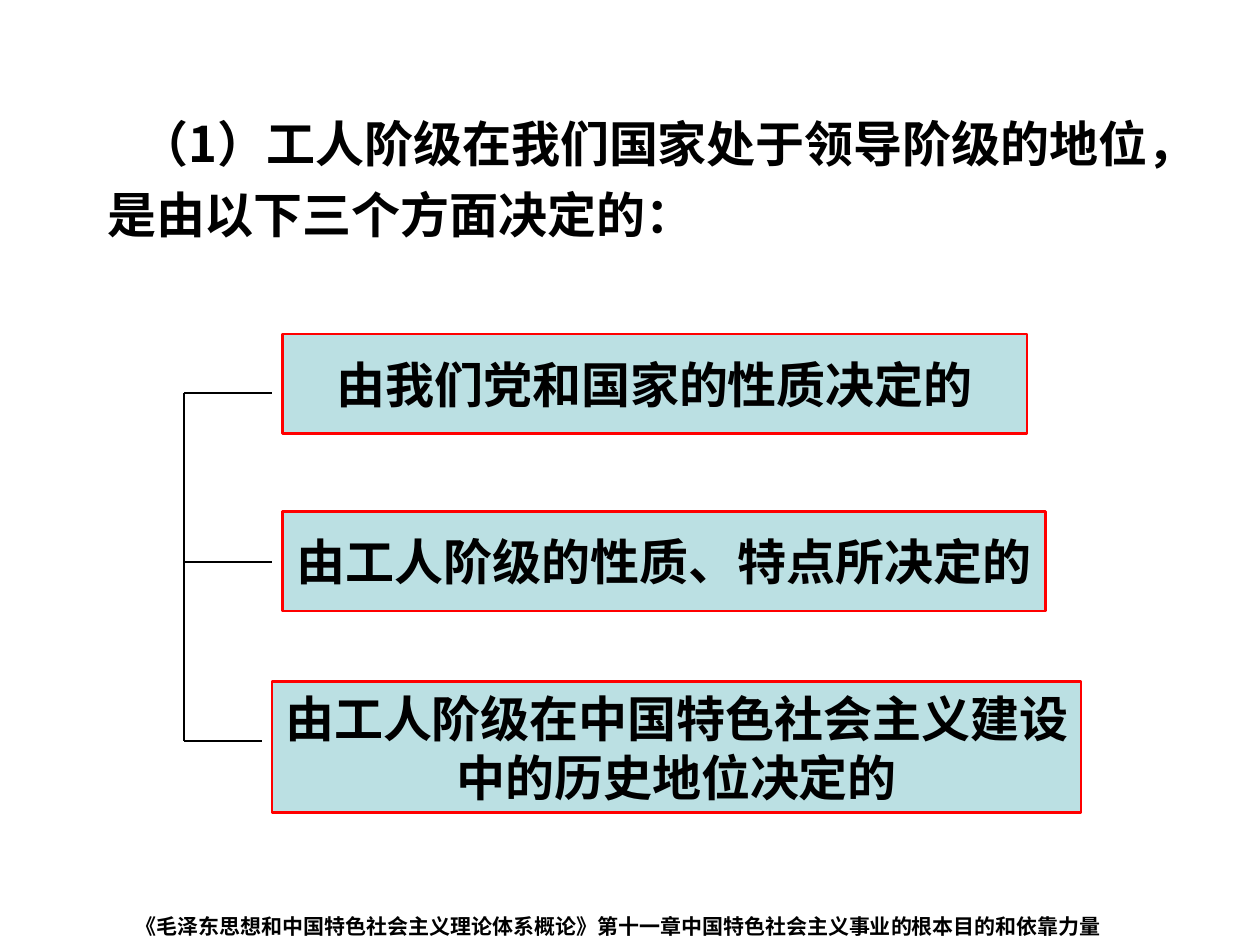
from lxml import etree
from pptx import Presentation
from pptx.dml.color import RGBColor
from pptx.enum.shapes import MSO_CONNECTOR, MSO_SHAPE
from pptx.enum.text import MSO_ANCHOR, MSO_AUTO_SIZE, PP_ALIGN
from pptx.oxml.ns import qn
from pptx.util import Inches, Pt

LINE = MSO_CONNECTOR.STRAIGHT
RECT = MSO_SHAPE.RECTANGLE
TOP, MIDDLE = MSO_ANCHOR.TOP, MSO_ANCHOR.MIDDLE
LEFT, CENTER = PP_ALIGN.LEFT, PP_ALIGN.CENTER
NONE = MSO_AUTO_SIZE.NONE


def tint(code):
    return RGBColor.from_string(code)


class Deck:
    face = "Noto Sans CJK SC"
    ink, fill, edge = "000000", "BBE0E3", "FF0000"

    def __init__(self, wide, high):
        self.prs = Presentation()
        self.prs.slide_width = Inches(wide)
        self.prs.slide_height = Inches(high)
        self.slide = self.prs.slides.add_slide(self.prs.slide_layouts[5])

    def label(self, shape, text, size, align, anchor, wrap=True, space=1.0):
        frame = shape.text_frame
        look = {
            "word_wrap": wrap, "auto_size": NONE, "vertical_anchor": anchor,
            "margin_left": Inches(0.1), "margin_right": Inches(0.1),
            "margin_top": Inches(0.05), "margin_bottom": Inches(0.05),
        }
        for key, value in look.items():
            setattr(frame, key, value)
        para = frame.paragraphs[0]
        form = {"alignment": align, "line_spacing": space, "space_before": Pt(0)}
        for key, value in form.items():
            setattr(para, key, value)
        run = para.add_run()
        run.text = text
        for key, value in {"name": self.face, "size": Pt(size), "bold": True}.items():
            setattr(run.font, key, value)
        run.font.color.rgb = tint(self.ink)
        east = etree.SubElement(run._r.get_or_add_rPr(), qn("a:ea"))
        east.set("typeface", self.face)
        return para

    def title(self, text, spot, indent):
        shape = self.slide.shapes.title
        for key, value in zip(("left", "top", "width", "height"), spot):
            setattr(shape, key, Inches(value))
        para = self.label(shape, text, 28, LEFT, TOP, space=1.2)
        para._p.get_or_add_pPr().set("indent", str(Inches(indent)))

    def note(self, text, spot):
        shape = self.slide.shapes.add_textbox(*map(Inches, spot))
        self.label(shape, text, 12, LEFT, TOP, space=1.15)

    def box(self, text, spot, wrap):
        shape = self.slide.shapes.add_shape(RECT, *map(Inches, spot))
        shape.shadow.inherit = False
        shape.fill.solid()
        shape.fill.fore_color.rgb = tint(self.fill)
        shape.line.color.rgb = tint(self.edge)
        shape.line.width = Pt(1.5)
        self.label(shape, text, 28, CENTER, MIDDLE, wrap)

    def line(self, *ends):
        link = self.slide.shapes.add_connector(LINE, *map(Inches, ends))
        link.line.color.rgb = tint(self.ink)
        link.line.width = Pt(0.75)
        etree.SubElement(link._element.spPr, qn("a:effectLst"))


def main():
    deck = Deck(10, 7.5)
    deck.title("（1）工人阶级在我们国家处于领导阶级的地位，是由以下三个方面决定的：",
               (0.75, 0.76, 8.74, 1.22), 0.26)
    stem = 1.46
    rows = [
        ("由我们党和国家的性质决定的", (2.24, 2.65, 5.91, 0.79), False, 3.12),
        ("由工人阶级的性质、特点所决定的", (2.24, 4.06, 6.06, 0.79), False, 4.46),
        ("由工人阶级在中国特色社会主义建设中的历史地位决定的",
         (2.16, 5.41, 6.42, 1.04), True, 5.88),
    ]
    deck.line(stem, rows[0][-1], stem, rows[-1][-1])
    for text, spot, wrap, mid in rows:
        deck.line(stem, mid, spot[0] - 0.08, mid)
        deck.box(text, spot, wrap)
    deck.note("《毛泽东思想和中国特色社会主义理论体系概论》"
              "第十一章中国特色社会主义事业的根本目的和依靠力量",
              (0.98, 7.17, 8.27, 0.33))
    deck.prs.save("out.pptx")


if __name__ == "__main__":
    main()
